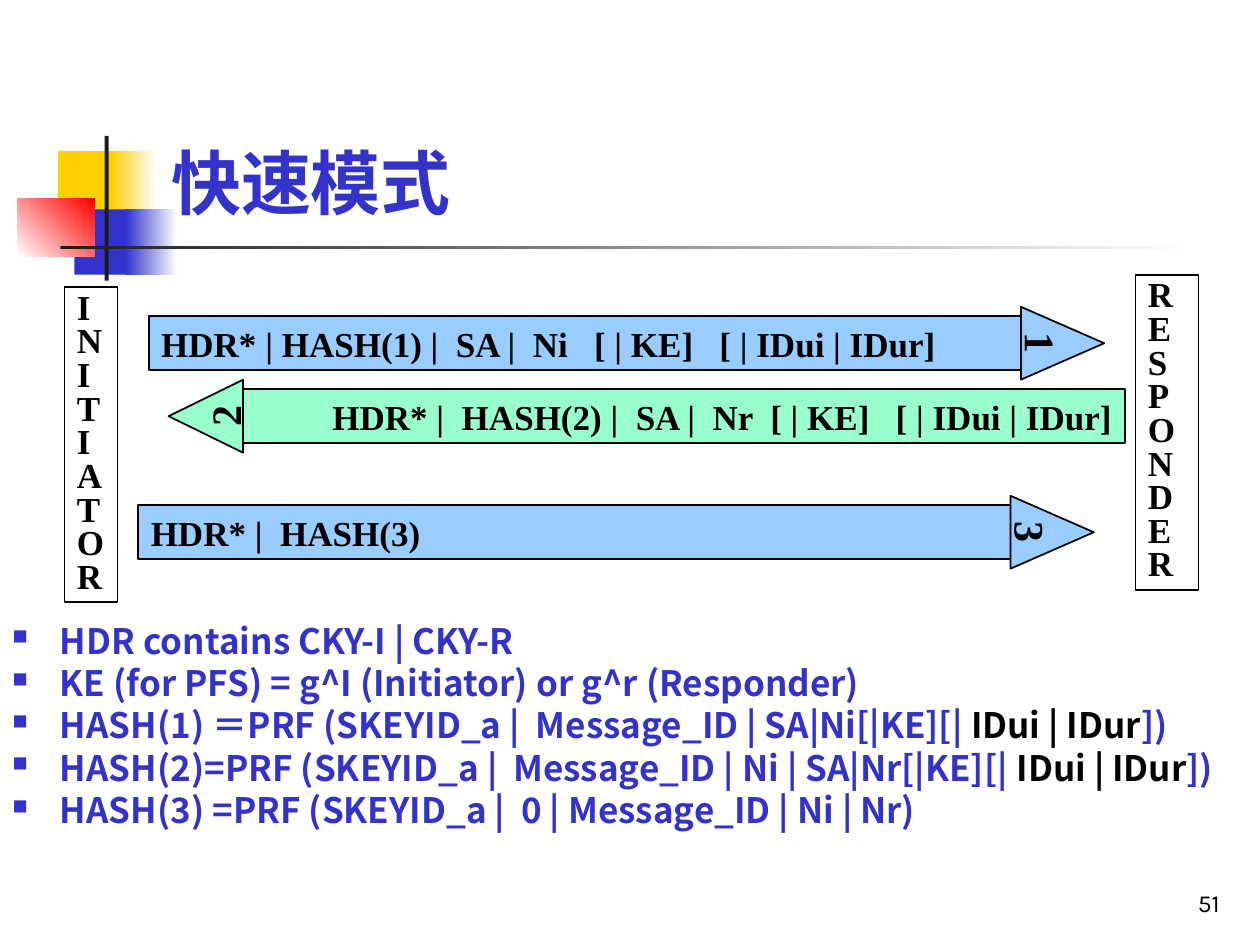
from dataclasses import dataclass

from lxml import etree
from pptx import Presentation
from pptx.dml.color import RGBColor
from pptx.enum.shapes import MSO_SHAPE
from pptx.enum.text import MSO_ANCHOR, PP_ALIGN
from pptx.oxml.ns import qn
from pptx.util import Cm, Pt

RECTANGLE = MSO_SHAPE.RECTANGLE
TRIANGLE = MSO_SHAPE.ISOSCELES_TRIANGLE
LEFT, CENTER, RIGHT = PP_ALIGN.LEFT, PP_ALIGN.CENTER, PP_ALIGN.RIGHT
TOP, MIDDLE, BOTTOM = MSO_ANCHOR.TOP, MSO_ANCHOR.MIDDLE, MSO_ANCHOR.BOTTOM


@dataclass(frozen=True)
class Theme:
    blue: str = "3333CC"
    yellow: str = "FFCF01"
    red: str = "FF0000"
    dark: str = "1C1C1C"
    black: str = "000000"
    white: str = "FFFFFF"
    request: str = "99CCFF"
    reply: str = "99FFCC"
    heading_font: str = "Noto Sans CJK SC"
    diagram_font: str = "Times New Roman"
    number_font: str = "Karla"
    title_size: int = 40
    step_size: int = 24
    text_size: int = 20
    number_size: int = 14


class SlideBuilder:
    def __init__(self, slide, theme):
        self.slide = slide
        self.theme = theme

    def font(self, paragraph, name, size, color, bold=True):
        font = paragraph.font
        font.name, font.size, font.bold = name, Pt(size), bold
        font.color.rgb = RGBColor.from_string(color)
        latin = paragraph._p.pPr.find(qn("a:defRPr")).find(qn("a:latin"))
        east_asian = etree.Element(qn("a:ea"), typeface=name)
        latin.addnext(east_asian)

    def block(self, box, fill, outlined=False, kind=RECTANGLE):
        shape = self.slide.shapes.add_shape(kind, *map(Cm, box))
        shape.shadow.inherit = False
        shape.fill.solid()
        shape.fill.fore_color.rgb = RGBColor.from_string(fill)
        if outlined:
            shape.line.color.rgb = RGBColor.from_string(self.theme.black)
            shape.line.width = Pt(1)
        else:
            shape.line.fill.background()
        return shape

    def fade(self, box, start, end, angle=0):
        shape = self.block(box, start)
        shape.fill.gradient()
        shape.fill.gradient_angle = angle
        for stop, color in zip(shape.fill.gradient_stops, (start, end)):
            stop.color.rgb = RGBColor.from_string(color)

    def label(self, shape, text, size, align=LEFT, anchor=TOP, wrap=True):
        frame = shape.text_frame
        frame.word_wrap = wrap
        frame.vertical_anchor = anchor
        paragraph = frame.paragraphs[0]
        paragraph.text = text
        paragraph.alignment = align
        self.font(paragraph, self.theme.diagram_font, size, self.theme.black)
        return paragraph

    def party(self, box, name, anchor):
        shape = self.block(box, self.theme.white, outlined=True)
        paragraph = self.label(shape, name, self.theme.text_size, anchor=anchor)
        paragraph.line_spacing = 0.8

    def message(self, step, text, left, middle, width, head, forward=True):
        theme = self.theme
        fill = theme.request if forward else theme.reply
        height, breadth = 1.09, 1.47
        body = self.block((left, middle - height / 2, width, height), fill, True)
        self.label(body, text, theme.text_size, LEFT if forward else RIGHT)
        center = left + width + head / 2 if forward else left - head / 2
        box = (center - breadth / 2, middle - head / 2, breadth, head)
        arrow = self.block(box, fill, True, TRIANGLE)
        arrow.rotation = 90 if forward else 270
        self.label(arrow, step, theme.step_size, CENTER, MIDDLE, wrap=False)

    def text_box(self, box, anchor=TOP):
        frame = self.slide.shapes.add_textbox(*map(Cm, box)).text_frame
        frame.word_wrap = True
        frame.vertical_anchor = anchor
        return frame

    def line_of_text(self, box, text, name, size, color, align=LEFT, bold=True):
        paragraph = self.text_box(box, BOTTOM).paragraphs[0]
        paragraph.text = text
        paragraph.alignment = align
        self.font(paragraph, name, size, color, bold)

    def bullet(self, paragraph):
        properties = paragraph._p.get_or_add_pPr()
        properties.set("marL", str(Cm(0.96)))
        properties.set("indent", str(-Cm(0.96)))
        color = etree.SubElement(properties, qn("a:buClr"))
        etree.SubElement(color, qn("a:srgbClr"), val=self.theme.blue)
        etree.SubElement(properties, qn("a:buSzPct"), val="60000")
        etree.SubElement(properties, qn("a:buChar"), char="■")

    def bullets(self, box, items):
        theme = self.theme
        frame = self.text_box(box)
        for index, pieces in enumerate(items):
            paragraph = frame.add_paragraph() if index else frame.paragraphs[0]
            self.bullet(paragraph)
            paragraph.line_spacing = 0.8
            if index:
                paragraph.space_before = Pt(5)
            self.font(paragraph, theme.heading_font, theme.text_size, theme.blue)
            for position, piece in enumerate(pieces):
                run = paragraph.add_run()
                run.text = piece
                if position == 1:
                    run.font.color.rgb = RGBColor.from_string(theme.black)


def main():
    presentation = Presentation()
    presentation.slide_width, presentation.slide_height = Cm(25.4), Cm(19.05)
    theme = Theme()
    slide = presentation.slides.add_slide(presentation.slide_layouts[6])
    builder = SlideBuilder(slide, theme)

    builder.block((1.17, 3.05, 1.22, 1.32), theme.yellow)
    builder.fade((2.24, 3.05, 0.91, 1.32), theme.yellow, theme.white)
    builder.block((1.5, 4.22, 1.17, 1.32), theme.blue)
    builder.fade((2.54, 4.22, 1.02, 1.32), theme.blue, theme.white)
    builder.fade((0.36, 4.01, 1.55, 1.17), theme.white, theme.red, angle=45)
    builder.block((2.11, 2.74, 0.08, 2.92), theme.dark)
    builder.fade((1.22, 4.95, 22.86, 0.08), theme.dark, theme.white)

    builder.line_of_text((19.56, 17.35, 5.28, 1.27), "51", theme.number_font,
                         theme.number_size, theme.black, RIGHT, bold=False)
    builder.line_of_text((3.2, 0.58, 21.64, 4.06), "快速模式", theme.heading_font,
                         theme.title_size, theme.blue)

    builder.party((1.3, 5.79, 1.07, 6.35), "INITIATOR", MIDDLE)
    builder.message("1", "HDR* | HASH(1) |  SA |  Ni   [ | KE]   [ | IDui | IDur]",
                    3, 6.92, 17.58, 1.68)
    builder.message("3", "HDR* |  HASH(3)", 2.79, 10.73, 17.58, 1.68)
    builder.message("2", "HDR* |  HASH(2) |  SA |  Nr  [ | KE]   [ | IDui | IDur]",
                    4.9, 8.39, 17.78, 1.5, forward=False)
    builder.party((22.89, 5.54, 1.27, 6.35), "RESPONDER", TOP)

    identities = ("IDui | IDur", "])")
    builder.bullets((0, 12.52, 25.4, 6.53), [
        ("HDR contains CKY-I | CKY-R",),
        ("KE (for PFS) = g^I (Initiator) or g^r (Responder)",),
        ("HASH(1) ＝PRF (SKEYID_a |  Message_ID | SA|Ni[|KE][| ", *identities),
        ("HASH(2)=PRF (SKEYID_a |  Message_ID | Ni | SA|Nr[|KE][| ", *identities),
        ("HASH(3) =PRF (SKEYID_a |  0 | Message_ID | Ni | Nr)",),
    ])
    presentation.save("out.pptx")


if __name__ == "__main__":
    main()
